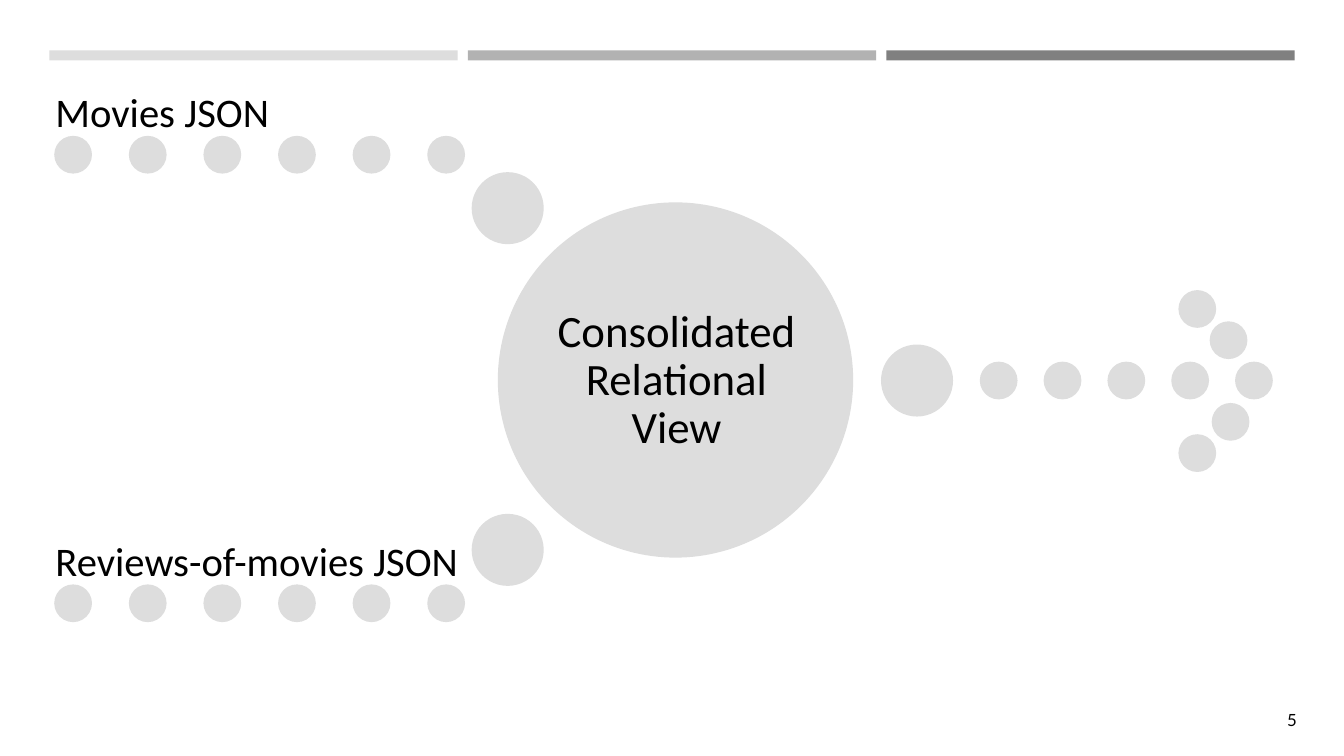
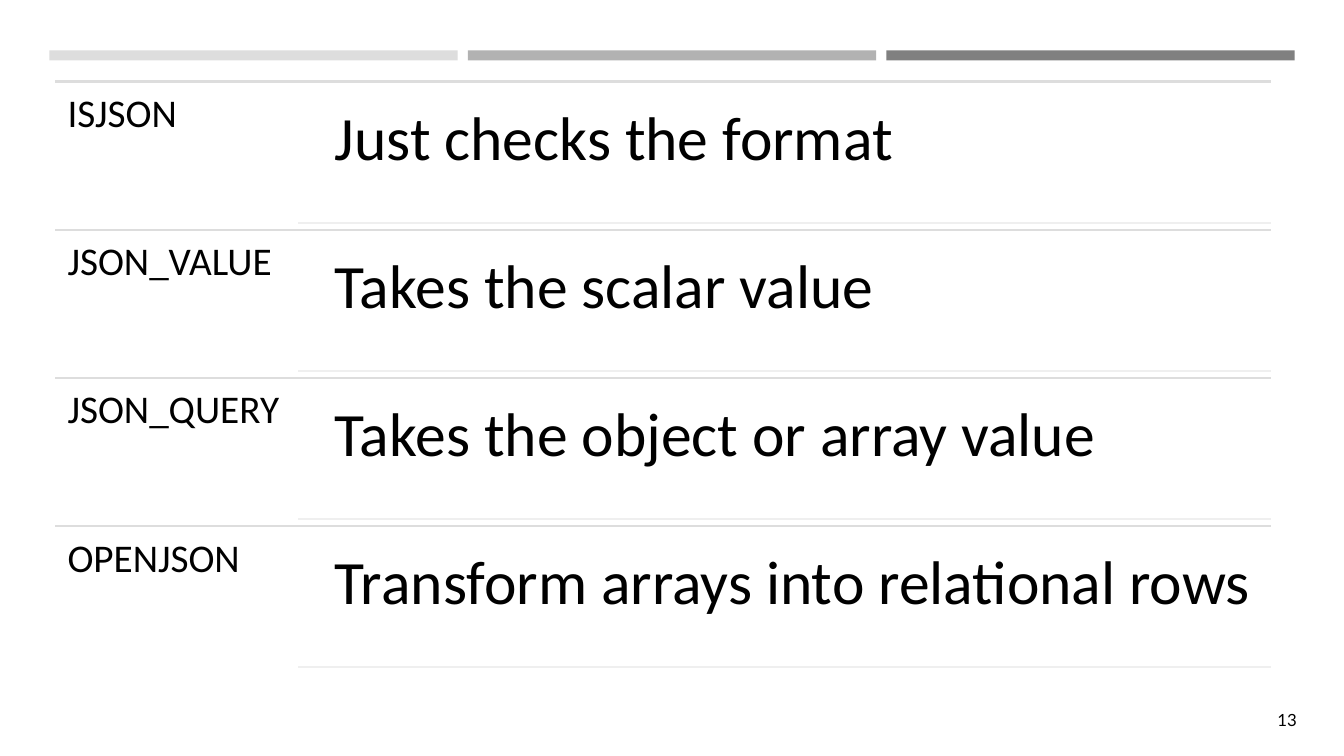
from dataclasses import dataclass

from lxml.etree import SubElement
from pptx import Presentation
from pptx.dml.color import RGBColor
from pptx.enum.shapes import MSO_CONNECTOR, MSO_SHAPE
from pptx.enum.text import MSO_ANCHOR, PP_ALIGN
from pptx.oxml.ns import qn
from pptx.presentation import Presentation as Deck
from pptx.slide import Slide
from pptx.util import Inches, Pt


@dataclass(frozen=True)
class Theme:
    light: str = "DDDDDD"
    middle: str = "B2B2B2"
    dark: str = "808080"
    faint: str = "EFEFEF"
    ink: str = "000000"
    body_font: str = "Calibri"
    number_font: str = "Lato"
    number_size: float = 12
    term_size: float = 28
    source_size: float = 29
    view_size: float = 32
    meaning_size: float = 44
    stroke: float = 1.75


THEME = Theme()


@dataclass(frozen=True)
class Box:
    left: float
    top: float
    width: float
    height: float

    def lengths(self) -> list[Inches]:
        return [Inches(v) for v in (self.left, self.top, self.width, self.height)]


@dataclass(frozen=True)
class Source:
    label: str
    label_top: float
    dots_top: float
    joint_top: float


@dataclass(frozen=True)
class JsonFunction:
    term: str
    meaning: str


SOURCES = [
    Source("Movies JSON", 0.46, 1.36, 1.72),
    Source("Reviews-of-movies JSON", 4.92, 5.81, 5.11),
]
FUNCTIONS = [
    JsonFunction("ISJSON", "Just checks the format"),
    JsonFunction("JSON_VALUE", "Takes the scalar value"),
    JsonFunction("JSON_QUERY", "Takes the object or array value"),
    JsonFunction("OPENJSON", "Transform arrays into relational rows"),
]

LEFT, RIGHT = 0.55, 12.61
DOT, JOINT, VIEW = 0.35, 0.69, 3.5


def add_text(slide: Slide, text: str, box: Box, *, size: float,
             font: str = THEME.body_font, color: str = THEME.ink,
             align: PP_ALIGN = PP_ALIGN.LEFT,
             anchor: MSO_ANCHOR = MSO_ANCHOR.TOP,
             inset: float = 0, spacing: float = 0.9) -> None:
    frame = slide.shapes.add_textbox(*box.lengths()).text_frame
    frame.word_wrap = True
    frame.vertical_anchor = anchor
    frame.margin_left = frame.margin_right = Inches(inset)
    frame.margin_top = frame.margin_bottom = Inches(inset)
    paragraph = frame.paragraphs[0]
    paragraph.text = text
    paragraph.alignment = align
    paragraph.line_spacing = spacing
    paragraph.font.size = Pt(size)
    paragraph.font.name = font
    paragraph.font.color.rgb = RGBColor.from_string(color)


def add_filled(slide: Slide, kind: MSO_SHAPE, box: Box, color: str,
               outlined: bool = False) -> None:
    shape = slide.shapes.add_shape(kind, *box.lengths())
    shape.shadow.inherit = False
    shape.fill.solid()
    shape.fill.fore_color.rgb = RGBColor.from_string(color)
    if outlined:
        shape.line.color.rgb = RGBColor.from_string(color)
        shape.line.width = Pt(THEME.stroke)
    else:
        shape.line.fill.background()


def add_circle(slide: Slide, left: float, top: float, size: float = DOT) -> None:
    add_filled(slide, MSO_SHAPE.OVAL, Box(left, top, size, size), THEME.light,
               outlined=True)


def add_rule(slide: Slide, left: float, top: float, color: str) -> None:
    rule = slide.shapes.add_connector(
        MSO_CONNECTOR.STRAIGHT, Inches(left), Inches(top), Inches(RIGHT), Inches(top))
    rule.line.color.rgb = RGBColor.from_string(color)
    rule.line.width = Pt(THEME.stroke)
    SubElement(rule.element.spPr, qn("a:effectLst"))


def add_base_slide(deck: Deck, number: int) -> Slide:
    """Blank slide with the three top bands and the slide number."""
    slide = deck.slides.add_slide(deck.slide_layouts[6])
    for index, color in enumerate((THEME.light, THEME.middle, THEME.dark)):
        add_filled(slide, MSO_SHAPE.RECTANGLE,
                   Box(0.49 + 4.15 * index, 0.5, 4.05, 0.1), color)
    add_text(slide, str(number), Box(12.35, 6.94, 0.61, 0.4),
             size=THEME.number_size, font=THEME.number_font,
             align=PP_ALIGN.RIGHT, anchor=MSO_ANCHOR.MIDDLE, inset=0.1, spacing=1)
    return slide


def build_view_slide(deck: Deck) -> None:
    slide = add_base_slide(deck, 5)

    # Dotted arrow leaving the view: joint, shaft, then head
    shaft_top = 3.6
    add_circle(slide, 8.75, 3.43, JOINT)
    for index in range(5):
        add_circle(slide, 9.73 + 0.633 * index, shaft_top)
    for left, top in ((11.7, 2.89), (12.01, 3.2), (12.03, 4.01), (11.7, 4.32)):
        add_circle(slide, left, top)

    # Consolidated view
    add_circle(slide, 4.95, 2.02, VIEW)
    add_text(slide, "Consolidated Relational View", Box(5.47, 2.54, 2.48, 2.48),
             size=THEME.view_size, align=PP_ALIGN.CENTER,
             anchor=MSO_ANCHOR.MIDDLE, inset=0.04)

    # Sources feeding the view
    for source in SOURCES:
        add_circle(slide, 4.69, source.joint_top, JOINT)
        for index in range(6):
            add_circle(slide, LEFT + 0.74 * index, source.dots_top)
        add_text(slide, source.label, Box(LEFT, source.label_top, 4.06, 0.89),
                 size=THEME.source_size, anchor=MSO_ANCHOR.BOTTOM)


def build_functions_slide(deck: Deck) -> None:
    slide = add_base_slide(deck, 13)
    row_height, meaning_height, gap = 1.47, 1.33, 0.07

    # One ruled row per function
    for index, function in enumerate(FUNCTIONS):
        top = 0.81 + row_height * index
        meaning_top = top + gap
        add_rule(slide, LEFT, top, THEME.light)
        add_text(slide, function.term, Box(LEFT, top, 2.41, row_height),
                 size=THEME.term_size, inset=0.12)
        add_text(slide, function.meaning,
                 Box(3.14, meaning_top, 9.47, meaning_height),
                 size=THEME.meaning_size, inset=0.18)
        add_rule(slide, 2.96, meaning_top + meaning_height, THEME.faint)


def main() -> None:
    deck = Presentation()
    deck.slide_width, deck.slide_height = Inches(13.33), Inches(7.5)
    build_view_slide(deck)
    build_functions_slide(deck)
    deck.save("out.pptx")


if __name__ == "__main__":
    main()
